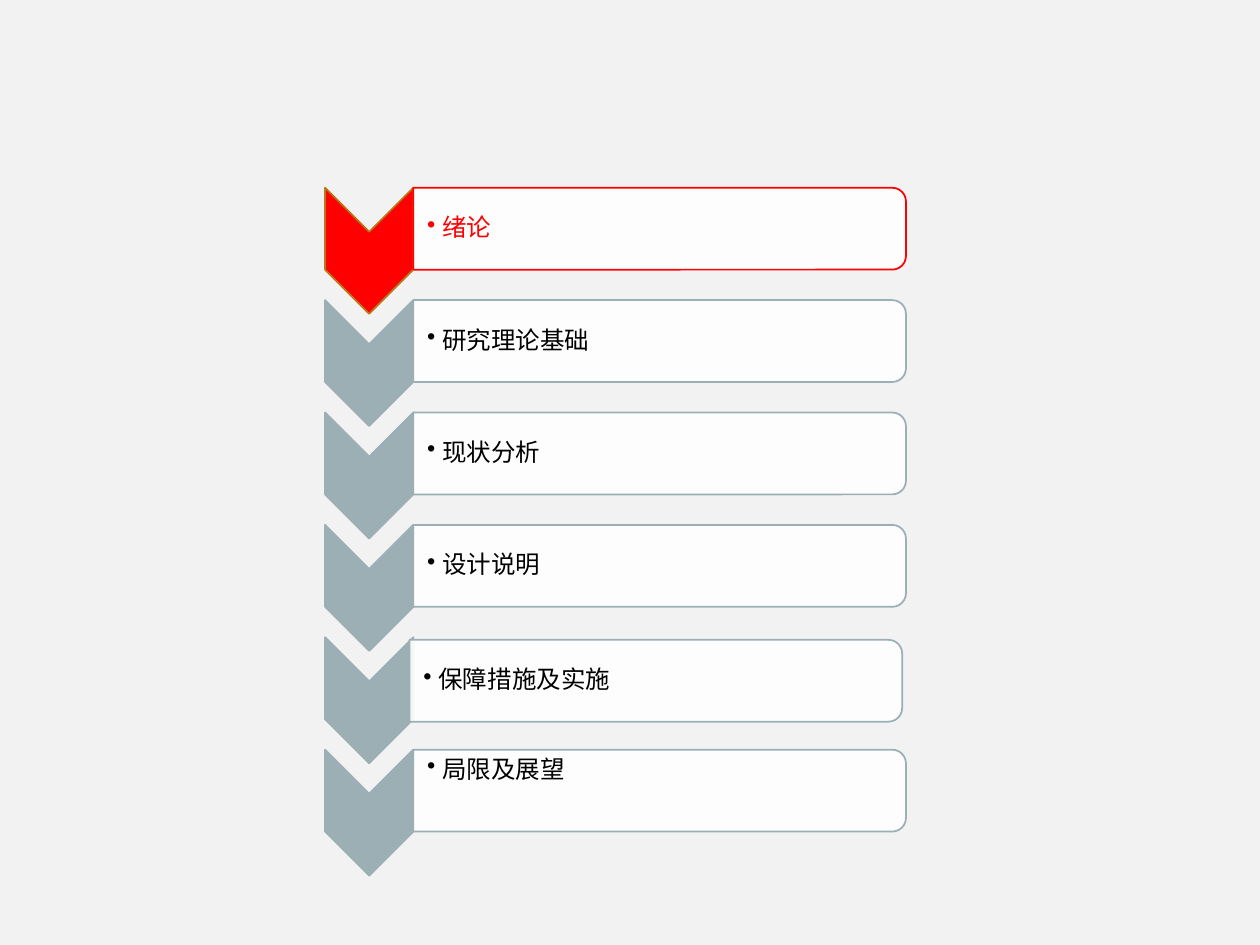
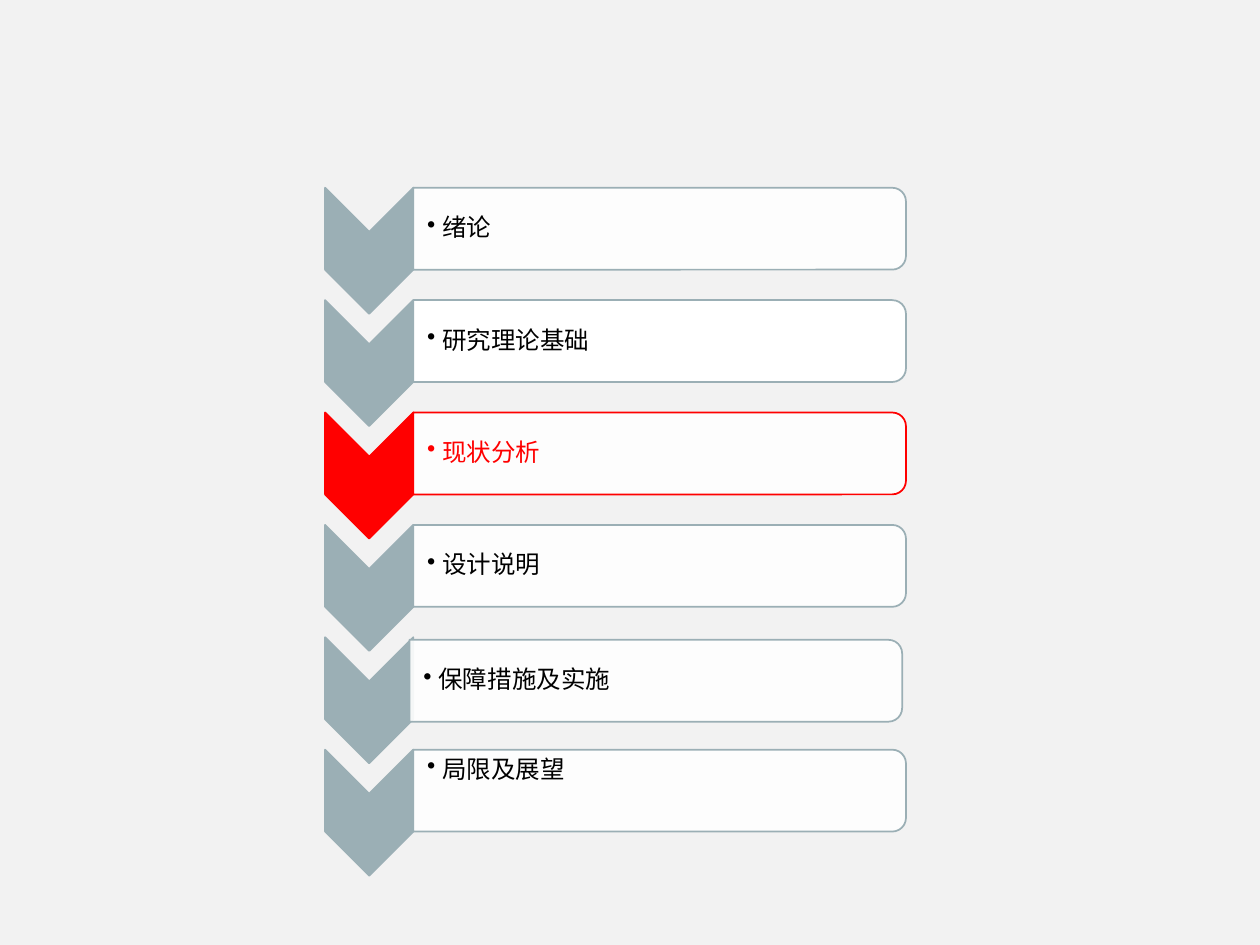
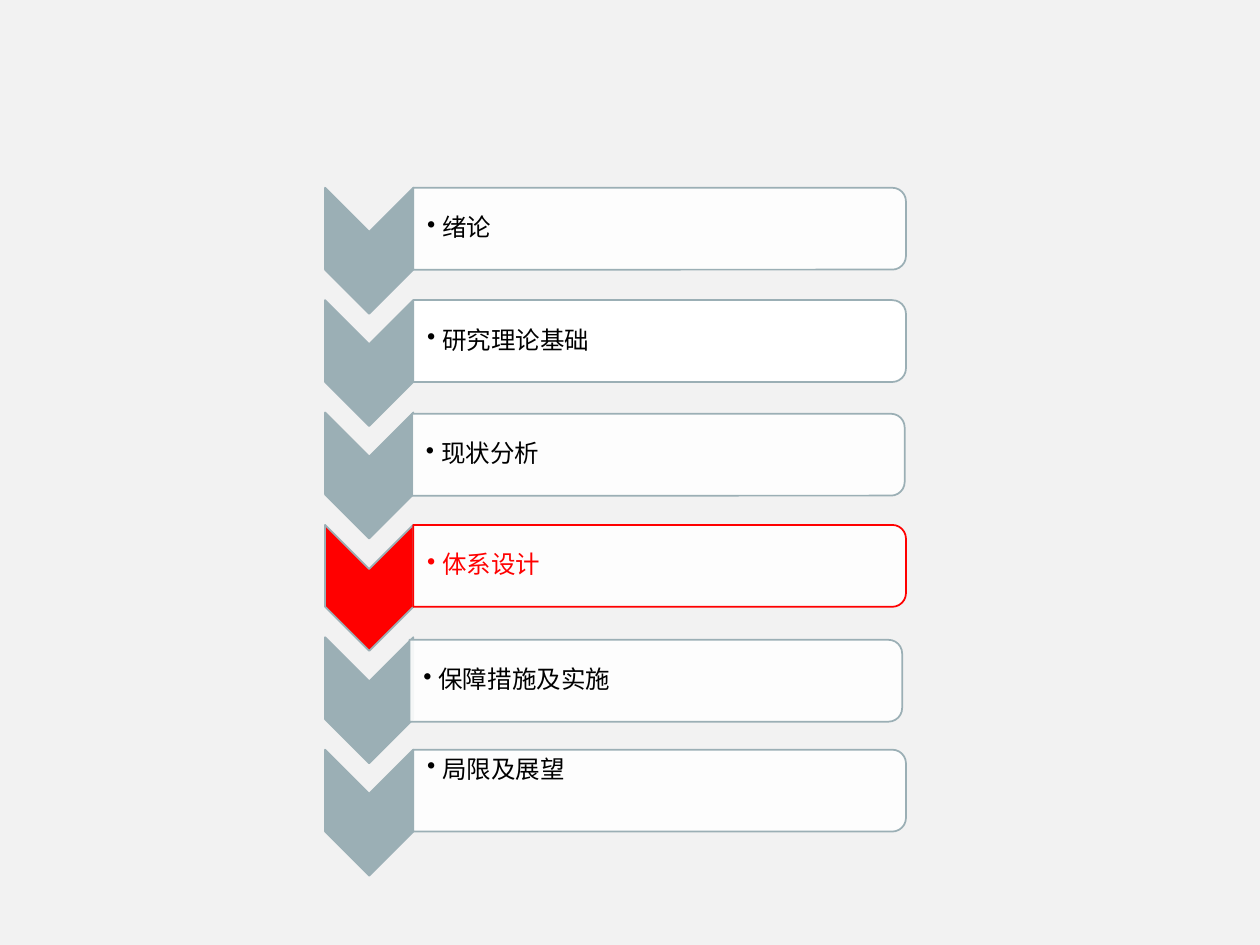
from dataclasses import dataclass, field

from pptx import Presentation
from pptx import util as u
from pptx.dml.color import RGBColor
from pptx.enum import shapes, text
from pptx.oxml.ns import qn
from lxml import etree

BACKGROUND = RGBColor(0xF2, 0xF2, 0xF2)
WHITE = RGBColor(0xFF, 0xFF, 0xFF)
BLACK = RGBColor(0, 0, 0)
RED = RGBColor(0xFF, 0, 0)
GREY = RGBColor(0x9B, 0xAF, 0xB5)
OCHRE = RGBColor(0xB7, 0x78, 0x15)

FONT = "Calibri"
SLIDE_W, SLIDE_H = 10, 7.5

# Chapter list, in inches: arrows on the left, bars on the right
LIST_LEFT, LIST_TOP = 2.58, 1.49
ROW_PITCH = 4.46 / 5
ARROW_W, ARROW_H = 0.7, 1
BAR_W, BAR_H = 3.91, 0.65
LABEL_W, LABEL_H = 3.88, 0.59

CHAPTERS = ["绪论", "研究理论基础", "现状分析", "设计说明", "保障措施及实施", "局限及展望"]
BAR_SHIFTS = {4: (-0.03, 0.02)}


@dataclass
class Agenda:
    current: int
    arrow_line: RGBColor = RED
    titles: dict = field(default_factory=dict)
    shifts: dict = field(default_factory=dict)
    opaque_rows: tuple = ()


AGENDAS = [
    Agenda(0, arrow_line=OCHRE),
    Agenda(2, opaque_rows=(1,)),
    Agenda(3, arrow_line=GREY, titles={3: "体系设计"},
           shifts={2: (-0.01, 0.01)}, opaque_rows=(1,)),
]


def add_turned(group, kind, x, y, w, h, fill, line):
    """Add a shape turned 90 degrees that covers the box x, y, w, h."""
    left, top = x + (w - h) / 2, y + (h - w) / 2
    sp = group.shapes.add_shape(kind, u.Inches(left), u.Inches(top),
                                u.Inches(h), u.Inches(w))
    sp.rotation = 90
    sp.shadow.inherit = False
    sp.fill.solid()
    sp.fill.fore_color.rgb = fill
    sp.line.color.rgb = line
    sp.line.width = u.Pt(1)
    return sp


def set_opacity(sp, percent):
    color = sp._element.spPr.find(qn("a:solidFill"))[0]
    etree.SubElement(color, qn("a:alpha")).set("val", str(percent * 1000))


def add_bullet(p, indent):
    pPr = p._p.get_or_add_pPr()
    pPr.set("marL", str(u.Inches(indent)))
    pPr.set("indent", str(-u.Inches(indent)))
    etree.SubElement(pPr, qn("a:buChar")).set("char", "•")


def add_label(group, x, y, title, color, at_top):
    box = group.shapes.add_textbox(u.Inches(x), u.Inches(y),
                                   u.Inches(LABEL_W), u.Inches(LABEL_H))
    tf = box.text_frame
    tf.word_wrap = True
    tf.margin_left = u.Inches(0.11)
    tf.margin_right = tf.margin_bottom = u.Inches(0.01)
    tf.margin_top = u.Inches(0.03 if at_top else 0.01)
    tf.vertical_anchor = text.MSO_ANCHOR.TOP if at_top else text.MSO_ANCHOR.MIDDLE
    p = tf.paragraphs[0]
    p.text = title
    p.level = 1
    p.line_spacing = 0.9
    add_bullet(p, 0.12)
    font = p.runs[0].font
    font.name, font.size = FONT, u.Pt(14)
    font.color.rgb = color


def add_chapter(group, row, title, agenda):
    x, y = LIST_LEFT, LIST_TOP + row * ROW_PITCH
    is_current = row == agenda.current
    accent = RED if is_current else GREY
    add_turned(group, shapes.MSO_SHAPE.CHEVRON, x, y, ARROW_W, ARROW_H,
               accent, agenda.arrow_line if is_current else GREY)

    dx, dy = (BAR_SHIFTS | agenda.shifts).get(row, (0, 0))
    bar_x, bar_y = x + ARROW_W + dx, y + dy
    bar = add_turned(group, shapes.MSO_SHAPE.ROUND_2_SAME_RECTANGLE,
                     bar_x, bar_y, BAR_W, BAR_H, WHITE, accent)
    if row not in agenda.opaque_rows:
        set_opacity(bar, 90)
    add_label(group, bar_x, bar_y + (BAR_H - LABEL_H) / 2, title,
              RED if is_current else BLACK, at_top=row == len(CHAPTERS) - 1)


def add_agenda_slide(prs, agenda):
    s = prs.slides.add_slide(prs.slide_layouts[6])
    group = s.shapes.add_group_shape()
    for row, title in enumerate(CHAPTERS):
        add_chapter(group, row, agenda.titles.get(row, title), agenda)


def main():
    prs = Presentation()
    prs.slide_width, prs.slide_height = u.Inches(SLIDE_W), u.Inches(SLIDE_H)
    background = prs.slide_master.background.fill
    background.solid()
    background.fore_color.rgb = BACKGROUND
    for agenda in AGENDAS:
        add_agenda_slide(prs, agenda)
    prs.save("out.pptx")


if __name__ == "__main__":
    main()
